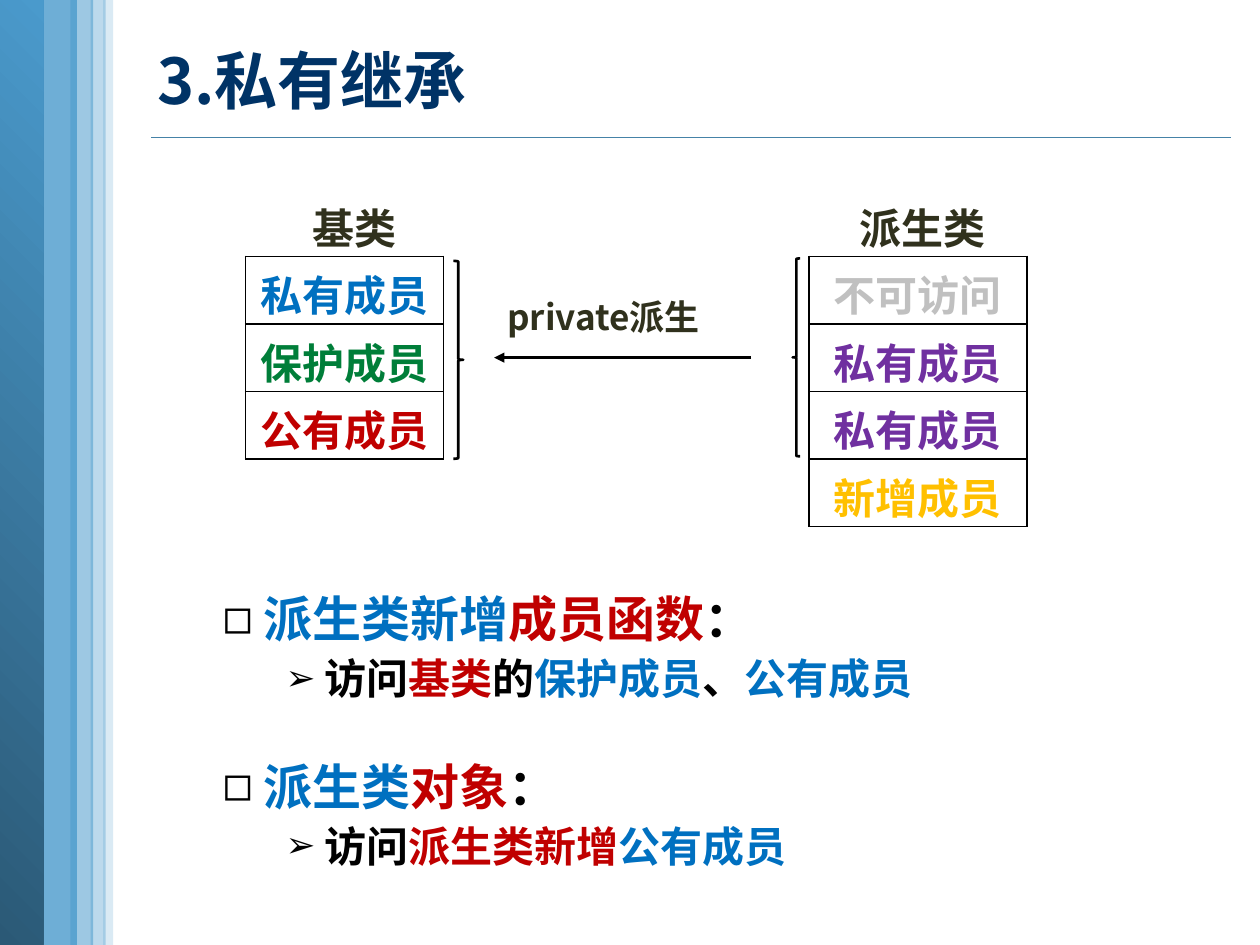
from lxml import etree
from pptx import Presentation
from pptx import util as u
from pptx.dml.color import RGBColor
from pptx.enum import shapes, text
from pptx.oxml import ns

Cm, Pt = u.Cm, u.Pt
COLORS = {"sky": "4A9ACC", "deep": "2B5976", "rule": "4582A7", "navy": "003366",
          "olive": "30311D", "black": "000000", "blue": "0070C0", "red": "C00000",
          "green": "007E39", "grey": "C0C0C0", "purple": "7030A0", "gold": "FFC000"}
CJK = "Noto Sans CJK SC"


def child(parent, tag, **attrs):
    return etree.SubElement(parent, ns.qn(tag), attrs)


def style(run, size, color, latin=CJK):
    run.font.size = Pt(size)
    run.font.bold = True
    run.font.name = latin
    run.font.color.rgb = RGBColor.from_string(COLORS[color])
    child(run.font._element, "a:ea", typeface=CJK)


prs = Presentation()
prs.slide_width, prs.slide_height = Cm(25.4), Cm(19.05)
slide = prs.slides.add_slide(prs.slide_layouts[6])

lines = [(3.05, 2.77, 24.82, 2.77, "rule", 1), (15.14, 7.21, 9.96, 7.21, "black", 1.5)]
for x1, y1, x2, y2, color, width in lines:
    line = slide.shapes.add_connector(shapes.MSO_CONNECTOR.STRAIGHT, Cm(x1), Cm(y1), Cm(x2), Cm(y2))
    line.line.color.rgb = RGBColor.from_string(COLORS[color])
    line.line.width = Pt(width)
    if color == "black":
        child(line.line._get_or_add_ln(), "a:tailEnd", type="triangle")
    child(line._element.spPr, "a:effectLst")

stripes = [(0.76, 0.79, 80), (-0.03, 0.91, None), (2.08, 0.2, 20), (1.42, 0.46, 54), (1.83, 0.3, 37)]
for left, width, opacity in stripes:
    stripe = slide.shapes.add_shape(shapes.MSO_SHAPE.RECTANGLE, Cm(left), 0, Cm(width), Cm(19.05))
    stripe.shadow.inherit = False
    stripe.line.fill.background()
    if opacity is None:
        stripe.fill.gradient()
        stripe.fill.gradient_angle = 45
        for stop, color in zip(stripe.fill.gradient_stops, ("deep", "sky")):
            stop.color.rgb = RGBColor.from_string(COLORS[color])
    else:
        stripe.fill.solid()
        stripe.fill.fore_color.rgb = RGBColor.from_string(COLORS["sky"])
        tint = stripe._element.spPr.find(".//" + ns.qn("a:srgbClr"))
        child(tint, "a:alpha", val=str(opacity * 1000))

classes = [
    (4.95, 3.99, [("  基类", "olive"), ("私有成员", "blue"), ("保护成员", "green"), ("公有成员", "red")]),
    (16.31, 4.39, [(" 派生类", "olive"), ("不可访问", "grey"), ("私有成员", "purple"),
                   ("私有成员", "purple"), ("新增成员", "gold")]),
]
for left, width, members in classes:
    frame = slide.shapes.add_table(len(members), 1, Cm(left), Cm(3.81), Cm(width), Cm(1.36 * len(members)))
    table = frame.table
    table.first_row = table.horz_banding = False
    table.columns[0].width = Cm(width)
    for i, (member, color) in enumerate(members):
        table.rows[i].height = Cm(1.36)
        cell = table.cell(i, 0)
        cell.margin_top, cell.margin_bottom = Cm(0.13), 0
        cell.vertical_anchor = text.MSO_ANCHOR.MIDDLE
        cell.text_frame.text = member
        paragraph = cell.text_frame.paragraphs[0]
        paragraph.alignment = text.PP_ALIGN.CENTER
        style(paragraph.runs[0], 24, color)
        for side in ("a:lnL", "a:lnR", "a:lnT", "a:lnB"):
            border = child(cell._tc.get_or_add_tcPr(), side, w=str(Pt(1)))
            if i or side == "a:lnB":
                child(child(border, "a:solidFill"), "a:srgbClr", val=COLORS["black"])
            else:
                child(border, "a:noFill")
        cell.fill.background()

braces = [(shapes.MSO_SHAPE.RIGHT_BRACE, 9.14, 5.26, 0.2), (shapes.MSO_SHAPE.LEFT_BRACE, 15.98, 5.21, 0.15)]
for kind, left, top, width in braces:
    brace = slide.shapes.add_shape(kind, Cm(left), Cm(top), Cm(width), Cm(3.99))
    brace.shadow.inherit = False
    brace.fill.background()
    brace.line.color.rgb = RGBColor.from_string(COLORS["black"])
    brace.line.width = Pt(1.5)

labels = [("3.私有继承", 2.92, 0.18, 22.1, 2.82, 36, "navy"),
          ("private派生", 9.98, 5.84, 4.57, 1.12, 20, "olive")]
for words, left, top, width, height, size, color in labels:
    label = slide.shapes.add_textbox(Cm(left), Cm(top), Cm(width), Cm(height)).text_frame
    label.word_wrap = True
    label.vertical_anchor = text.MSO_ANCHOR.MIDDLE if color == "navy" else text.MSO_ANCHOR.TOP
    label.text = words
    style(label.paragraphs[0].runs[0], size, color)

levels = [(28, 0.44, "◻", 100), (24, 0.94, "➢", 85)]
notes = [
    (3.12, 11.63, [
        [(" ", "black"), ("派生类新增", "blue"), ("成员函数", "red"), ("：", "black")],
        [(" 访问", "black"), ("基类", "red"), ("的", "black"), ("保护成员", "blue"),
         ("、", "black"), ("公有成员", "blue")]]),
    (3.12, 15.01, [
        [(" ", "black"), ("派生类", "blue"), ("对象", "red"), ("：", "black")],
        [(" 访问", "black"), ("派生类新增", "red"), ("公有成员", "blue")]]),
]
for left, top, rows in notes:
    note = slide.shapes.add_textbox(Cm(left), Cm(top), Cm(20.85), Cm(2.69)).text_frame
    note.word_wrap = True
    for i, (runs, (size, indent, bullet, scale)) in enumerate(zip(rows, levels)):
        paragraph = note.add_paragraph() if i else note.paragraphs[0]
        paragraph.line_spacing = 1.1
        props = paragraph._p.get_or_add_pPr()
        props.set("marL", str(u.Inches(indent)))
        props.set("indent", "0")
        child(props, "a:buSzPct", val=str(scale * 1000))
        child(props, "a:buFont", typeface="Arial")
        child(props, "a:buChar", char=bullet)
        for words, color in runs:
            run = paragraph.add_run()
            run.text = words
            style(run, size, color, "Arial")

prs.save("out.pptx")
